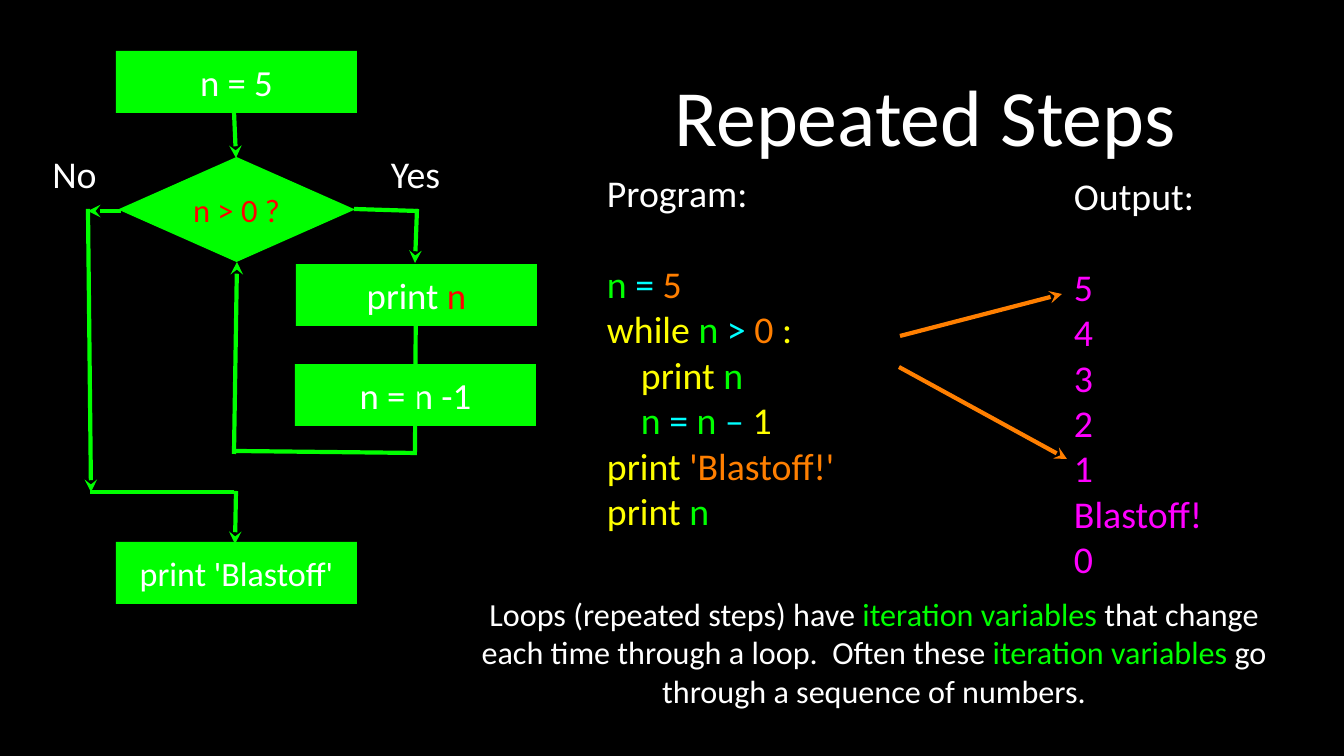
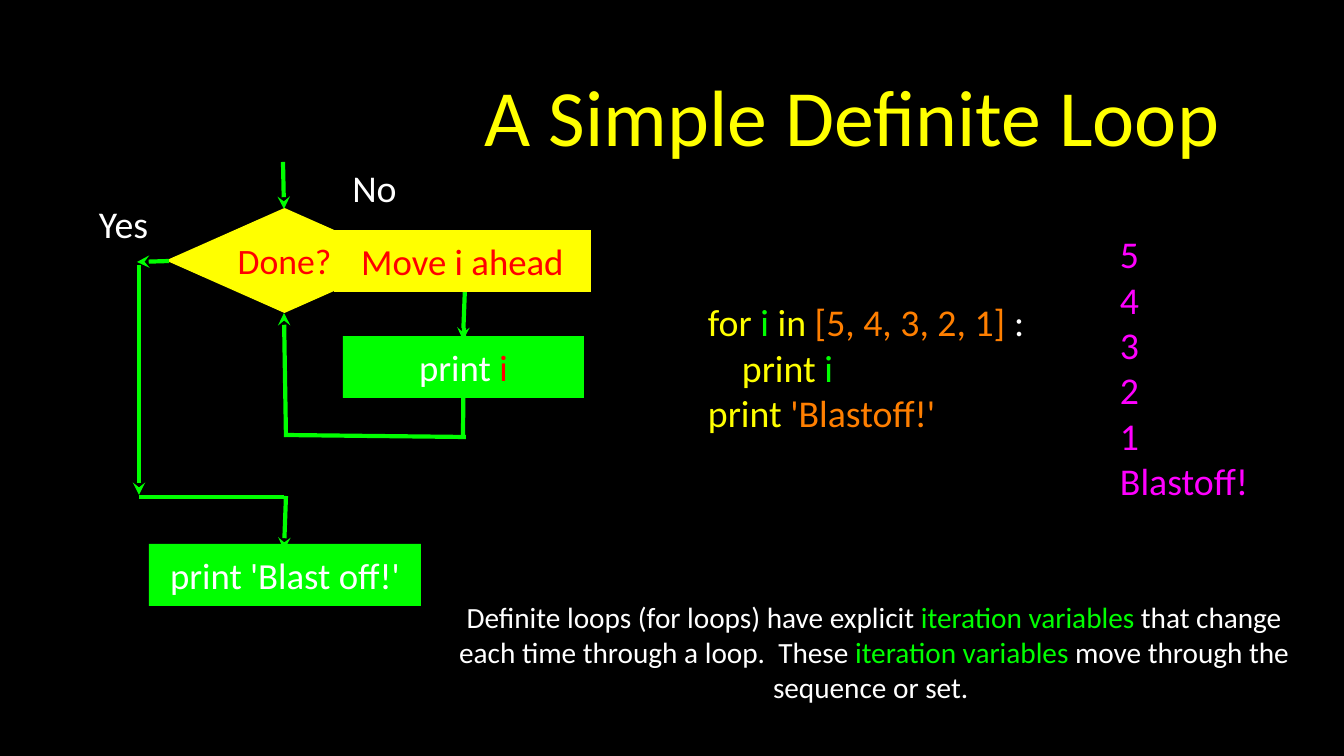
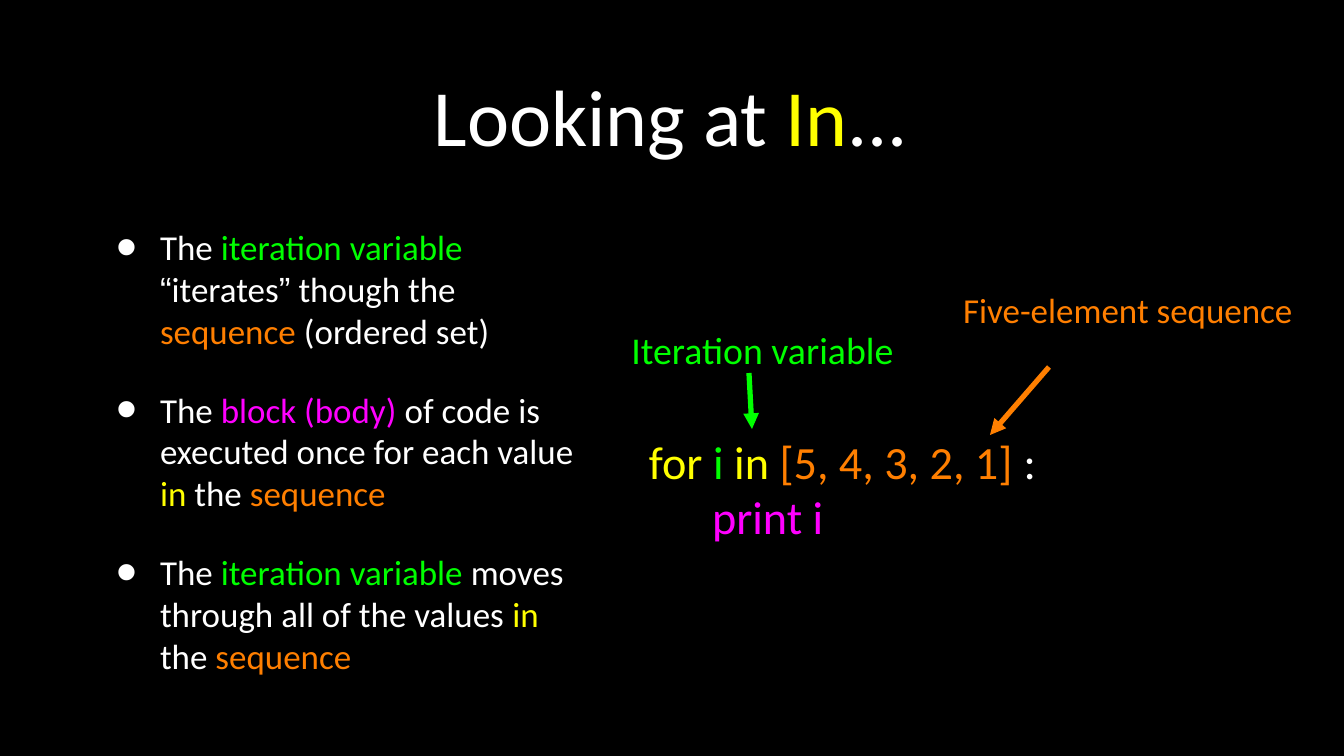
from lxml.etree import SubElement
from pptx import Presentation
from pptx.dml.color import RGBColor
from pptx.enum.shapes import MSO_CONNECTOR as Connector, MSO_SHAPE as Shape
from pptx.enum.text import MSO_ANCHOR as Anchor, PP_ALIGN as Align
from pptx.oxml.ns import qn
from pptx.util import Pt

EMU_PER_PX = 914400 / 75.6
FONT = "Calibri"
COLORS = {
    "black": "000000", "white": "FFFFFF", "green": "00FF00", "yellow": "FFFF00",
    "orange": "FF7F00", "red": "FF0000", "magenta": "FF00FF", "cyan": "00FFFF",
}


def px(length):
    return round(length * EMU_PER_PX)


def color(name):
    return RGBColor.from_string(COLORS[name])


def write(frame, paragraphs, size=36, ink="white", align=Align.CENTER, inset=0,
          indents=None, gaps=None, bullet=False):
    """Fill a frame; "{color}" or "{color font}" in the text starts a new run.

    indents (px) and gaps (pt above) map a paragraph's number to its value."""
    frame.word_wrap = True
    frame.vertical_anchor = Anchor.MIDDLE
    frame.margin_left = frame.margin_right = px(inset)
    frame.margin_top = frame.margin_bottom = px(inset)
    for number, text in enumerate(paragraphs):
        paragraph = frame.paragraphs[0] if number == 0 else frame.add_paragraph()
        paragraph.alignment = align
        if gaps and number in gaps:
            paragraph.space_before = Pt(gaps[number])
        properties = paragraph._p.get_or_add_pPr()
        if indents and number in indents:
            properties.set("marL", str(px(indents[number])))
        if bullet:
            add_bullet(properties)
        for part in ("{" + ink + "}" + text).split("{")[1:]:
            mark, _, words = part.partition("}")
            if not words:
                continue
            name, _, font = mark.partition(" ")
            run = paragraph.add_run()
            run.text = words
            run.font.size = Pt(size)
            run.font.name = font or FONT
            run.font.color.rgb = color(name)


def add_bullet(properties):
    properties.set("marL", str(px(62)))
    properties.set("indent", str(px(-44)))
    bullet_color = SubElement(properties, qn("a:buClr"))
    SubElement(bullet_color, qn("a:srgbClr"), val=COLORS["white"])
    SubElement(properties, qn("a:buSzPct"), val="171000")
    SubElement(properties, qn("a:buFont"), typeface="Arial")
    SubElement(properties, qn("a:buChar"), char="•")


class Deck:
    def __init__(self):
        self.presentation = Presentation()
        self.presentation.slide_width = px(1344)
        self.presentation.slide_height = px(756)
        self.slide = None

    def new_slide(self, title, left, width):
        layout = self.presentation.slide_layouts[6]
        self.slide = self.presentation.slides.add_slide(layout)
        background = self.slide.background.fill
        background.solid()
        background.fore_color.rgb = color("black")
        self.text((left, 20, width, 190), [title], size=76, inset=3)

    def text(self, box, paragraphs, **style):
        shape = self.slide.shapes.add_textbox(*map(px, box))
        write(shape.text_frame, paragraphs, **style)

    def code(self, box, lines, **style):
        self.text(box, lines, align=Align.LEFT, **style)

    def label(self, left, top, text, width=61, **style):
        self.text((left, top, width, 45), [text], **style)

    def summary(self, text, size):
        self.text((455, 583, 838, 138), [text], size=size)

    def block(self, kind, box, text, fill, **style):
        shape = self.slide.shapes.add_shape(kind, *map(px, box))
        shape.shadow.inherit = False
        shape.fill.solid()
        shape.fill.fore_color.rgb = color(fill)
        shape.line.fill.background()
        write(shape.text_frame, [text], **style)

    def step(self, left, top, text, width=241, fill="green", size=35):
        self.block(Shape.RECTANGLE, (left, top, width, 62), text, fill, size=size)

    def decision(self, left, top, text, fill, size):
        self.block(Shape.DIAMOND, (left, top, 237, 105), text, fill, size=size, ink="red")

    def line(self, start, end, ink="green", weight=4, tip=None):
        connector = self.slide.shapes.add_connector(
            Connector.STRAIGHT, *map(px, start + end))
        connector.line.color.rgb = color(ink)
        connector.line.width = Pt(weight)
        if tip:
            SubElement(connector.line._get_or_add_ln(), qn("a:tailEnd"), type=tip)
        SubElement(connector._element.spPr, qn("a:effectLst"))

    def flow(self, lines, arrows):
        for start, end in lines:
            self.line(start, end)
        for start, end in arrows:
            self.line(start, end, tip="stealth")


def repeated_steps(deck):
    deck.new_slide("Repeated Steps", 602, 646)

    # Program and its output
    deck.code((1074, 173, 156, 408),
              ["Output:"] + ["{magenta}" + row for row in ("5", "4", "3", "2", "1", "Blastoff!", "0")],
              gaps={1: 43.2})
    deck.code((607, 170, 259, 363), [
        "Program:",
        "{green}n {cyan}= {orange}5",
        "{yellow}while {green}n {cyan}> {orange}0{yellow} :",
        "{yellow}print {green}n",
        "{green}n {cyan}= {green}n {cyan}–{yellow} 1",
        "{yellow}print {orange}'Blastoff!'",
        "{yellow}print {green}n",
    ], gaps={1: 43.2}, indents={3: 34, 4: 34})
    deck.line((900, 336), (1062, 294), ink="orange", tip="stealth")
    deck.line((899, 367), (1067, 459), ink="orange", tip="stealth")

    # Flowchart
    deck.decision(118, 157, "n > 0 ?", "green", 31)
    deck.step(295, 364, "n = n -1")
    deck.flow(
        lines=[((354, 209), (418, 211)), ((416, 278), (415, 451)),
               ((236, 451), (417, 453)), ((90, 492), (234, 492))],
        arrows=[((234, 111), (236, 158)), ((234, 454), (237, 262)),
                ((417, 209), (415, 263)), ((121, 211), (88, 211)),
                ((236, 491), (235, 544)), ((88, 209), (91, 492))])
    deck.step(116, 51, "n = 5")
    deck.step(296, 264, "print {red}n")
    deck.step(116, 542, "print 'Blastoff'", size=32.4)
    deck.label(44, 151, "No")
    deck.label(385, 151, "Yes")

    deck.summary("Loops (repeated steps) have {green}iteration variables {white}that change "
                 "each time through a loop.  Often these {green}iteration variables {white}go "
                 "through a sequence of numbers.", 30.6)


def definite_loop(deck):
    deck.new_slide("{yellow}A Simple Definite Loop", 456, 792)

    # Program and its output
    deck.code((708, 299, 357, 136), [
        "{yellow}for {green}i {yellow}in {orange}[5, 4, 3, 2, 1] {white}:",
        "{yellow}print {green}i",
        "{yellow}print {orange}'Blastoff!'",
    ], indents={1: 34})
    deck.code((1120, 231, 147, 272), ["5", "4", "3", "2", "1", "Blastoff!"], ink="magenta")

    # Flowchart
    deck.decision(166, 208, "Done?", "yellow", 34)
    deck.flow(
        lines=[((464, 328), (463, 437)), ((285, 435), (466, 437)),
               ((139, 497), (284, 497))],
        arrows=[((283, 162), (284, 209)), ((286, 437), (284, 313)),
                ((465, 287), (463, 340)), ((169, 261), (137, 262)),
                ((286, 496), (284, 550)), ((139, 265), (139, 495))])
    deck.step(334, 230, "{red}Move i ahead", width=257, fill="yellow")
    deck.step(343, 336, "print {red}i")
    deck.step(149, 544, "print 'Blast off!'", width=272)
    deck.label(93, 201, "Yes")
    deck.label(344, 165, "No")

    deck.summary("Definite loops (for loops) have explicit {green}iteration variables "
                 "{white}that change each time through a loop.  These {green}iteration "
                 "variables{white} move through the sequence or set. ", 27.9)


def looking_at_in(deck):
    deck.new_slide("Looking at {yellow}In{white}...", 95, 1152)

    # Explanation
    deck.text((95, 215, 494, 472), [
        "The {green}iteration variable {white Arial}“{white}iterates{white Arial}”{white} "
        "though the {orange}sequence {white}(ordered set)",
        "The {magenta}block (body){white} of code is executed once for each value "
        "{yellow}in{white} the {orange}sequence",
        "The {green}iteration variable {white}moves through all of the values "
        "{yellow}in{white} the {orange}sequence",
    ], size=33.3, align=Align.LEFT, inset=3, gaps={0: 35, 1: 35, 2: 35}, bullet=True)

    # Annotated loop
    deck.code((649, 433, 436, 111), [
        "{yellow}for {green}i {yellow}in {orange}[5, 4, 3, 2, 1] {white}:",
        "{magenta}print i",
    ], size=44, indents={1: 63})
    deck.label(610, 327, "Iteration variable", width=305, ink="green")
    deck.label(934, 287, "Five-element sequence", width=388, ink="orange", size=33.3)
    deck.line((749, 373), (752, 429), weight=5, tip="triangle")
    deck.line((1049, 367), (990, 435), ink="orange", weight=5, tip="triangle")


def main():
    deck = Deck()
    repeated_steps(deck)
    definite_loop(deck)
    looking_at_in(deck)
    deck.presentation.save("out.pptx")


if __name__ == "__main__":
    main()
